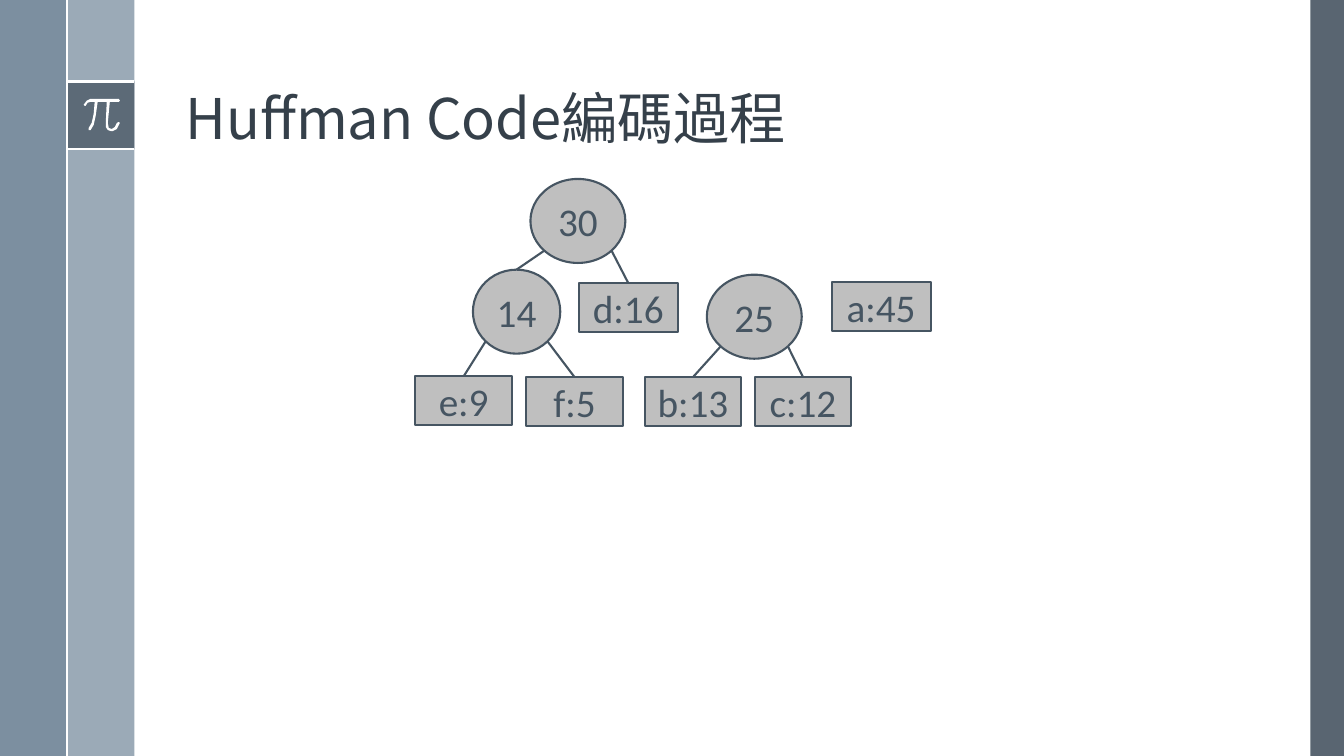
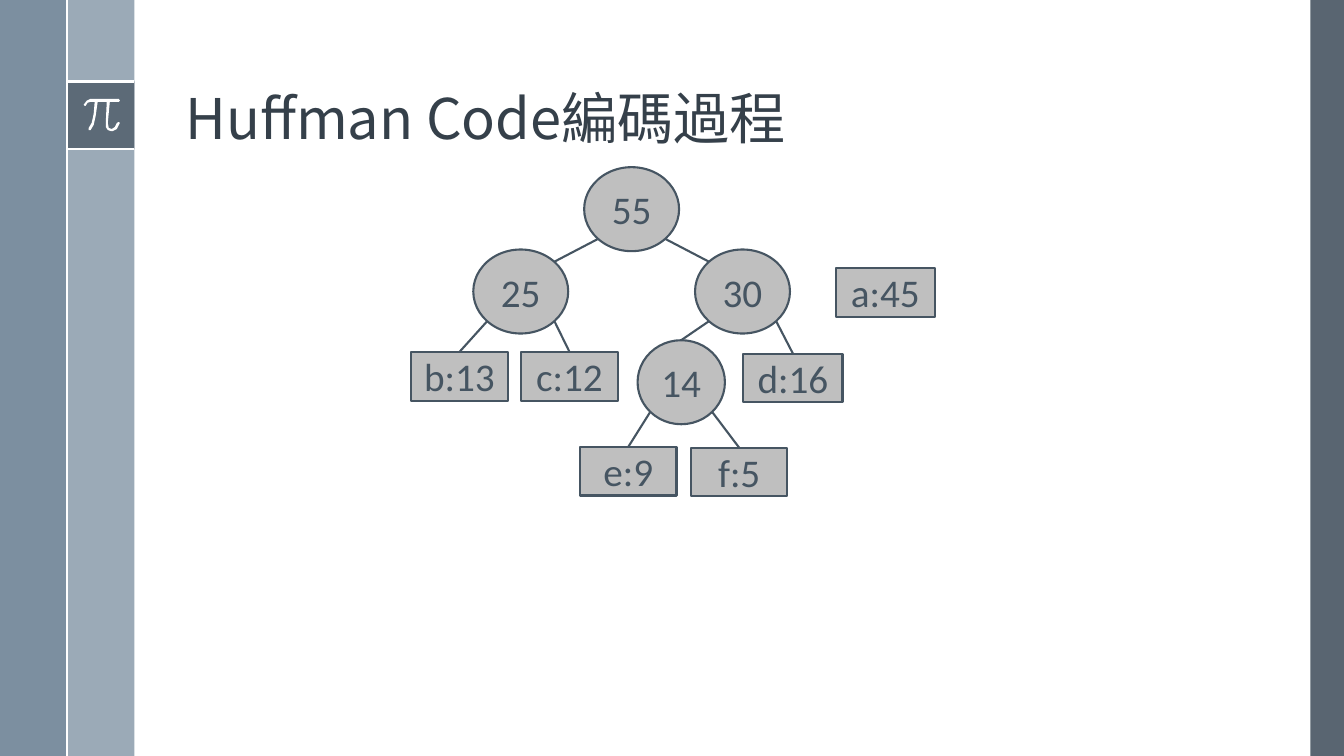
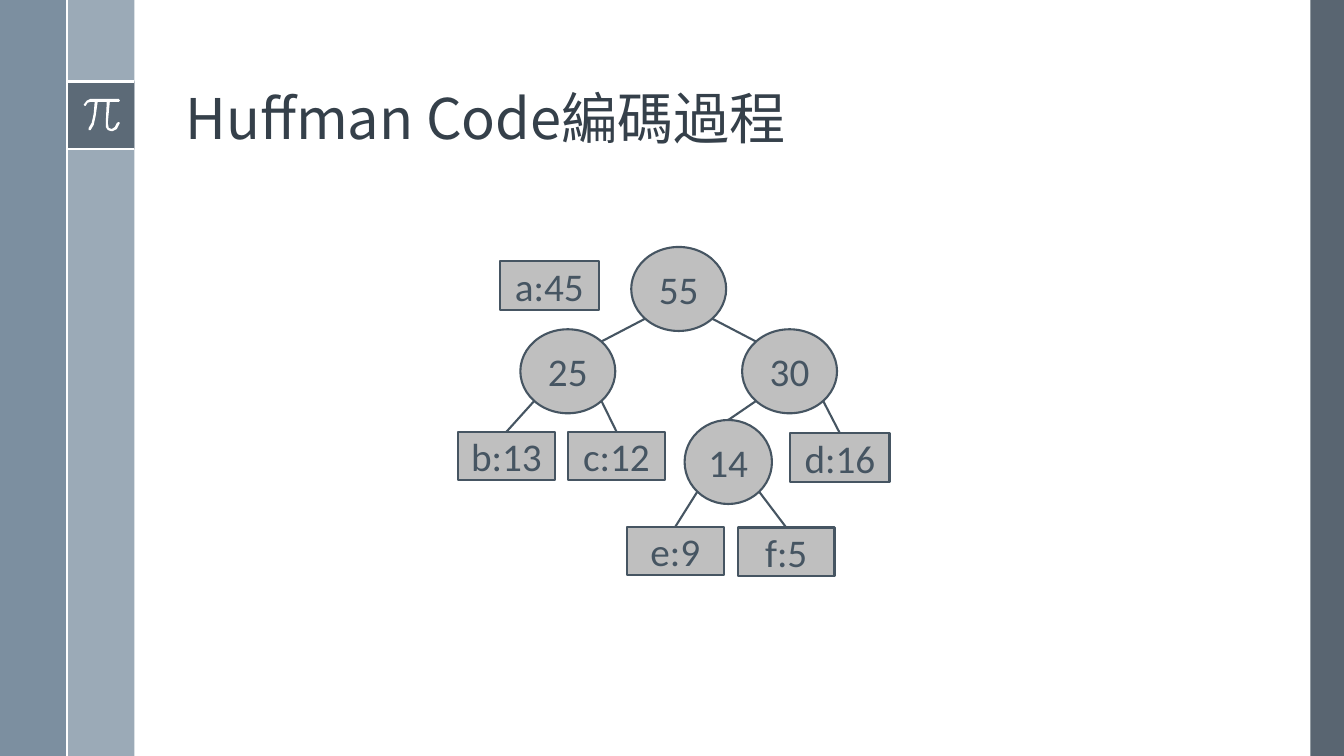
"""Builds three slides that show the merging steps of a Huffman code."""
import lxml.etree
import pptx
import pptx.dml.color
import pptx.enum.shapes
import pptx.enum.text
import pptx.oxml.ns
import pptx.util

RGBColor = pptx.dml.color.RGBColor
SHAPE = pptx.enum.shapes.MSO_SHAPE
ALIGN = pptx.enum.text.PP_ALIGN
ANCHOR = pptx.enum.text.MSO_ANCHOR
qn = pptx.oxml.ns.qn

WHITE = RGBColor(0xFF, 0xFF, 0xFF)
SLATE = RGBColor(0x47, 0x55, 0x62)
STEEL = RGBColor(0x6A, 0x80, 0x93)
MIST = RGBColor(0x9B, 0xAA, 0xB7)
TITLE_INK = RGBColor(0x35, 0x40, 0x4A)
NODE_INK = RGBColor(0x46, 0x55, 0x62)
NODE_FILL = RGBColor(0xBF, 0xBF, 0xBF)

COLUMNS, ROWS = 160, 90
CELL = pptx.util.Inches(7.5) // ROWS
BAND = 8
BADGE_TOP = 9.7
DIAGONAL = 0.71
TITLE = "Huffman Code編碼過程"

PI_OUTLINE = [
    (118, 98), (90, 98), (86, 100), (83, 104), (84, 105), (85, 105),
    (87, 102), (90, 101), (94, 101), (93, 113), (91, 122), (88, 127),
    (88, 129), (90, 129), (93, 124), (95, 115), (97, 101), (106, 101),
    (105, 122), (105, 126), (107, 129), (110, 130), (112, 130), (116, 128),
    (119, 122), (118, 121), (116, 122), (114, 126), (111, 128), (108, 127),
    (107, 122), (109, 101), (118, 101), (119, 100),
]

BRANCHES = {
    "55": [("25", -13.2, 9.8), ("30", 13.2, 9.8)],
    "25": [("b:13", -7.3, 10.1), ("c:12", 5.8, 10.1)],
    "30": [("14", -7.3, 10.8), ("d:16", 6, 10.3)],
    "14": [("e:9", -6.3, 10.6), ("f:5", 6.9, 10.7)],
}
SIZES = {"14": (10.4, 10), "a:45": (11.8, 5.8), "d:16": (11.8, 5.8)}
CIRCLE_SIZE = (11.3, 10)
BOX_SIZE = (11.5, 5.8)

STEPS = [
    [("a:45", 104.9, 36.5), ("25", 89.8, 37.7), ("30", 68.8, 26.3)],
    [("a:45", 105.4, 34.8), ("55", 75.2, 24.9)],
    [("a:45", 65.4, 34), ("55", 80.8, 34.4)],
]


def cells(*lengths):
    """Turn grid lengths into slide units."""
    return [round(length * CELL) for length in lengths]


def node_size(label):
    """Return the width and height of a tree node."""
    return SIZES.get(label, CIRCLE_SIZE if label in BRANCHES else BOX_SIZE)


class Deck:
    """Holds the presentation, its style and the current slide."""

    def __init__(self):
        """Start an empty widescreen presentation."""
        self.presentation = pptx.Presentation()
        self.presentation.slide_width, self.presentation.slide_height = cells(COLUMNS, ROWS)
        self.slide = None

    def add_slide(self):
        """Add a slide with the shared bands, badge and title."""
        self.slide = self.presentation.slides.add_slide(self.presentation.slide_layouts[6])
        self.band(COLUMNS - BAND / 2, 0, BAND / 2, ROWS, SLATE, 90)
        self.band(BAND, 0, BAND, ROWS, MIST)
        self.band(0, 0, BAND, ROWS, STEEL, 88)
        self.band(BAND, BADGE_TOP, BAND, BAND, SLATE, 75)
        for row in (BADGE_TOP, BADGE_TOP + BAND):
            self.line(BAND, row, 2 * BAND, row, WHITE)
        self.pi_sign()
        self.line(BAND, 0, BAND, ROWS, WHITE)
        self.title(TITLE)

    def shape(self, kind, left, top, width, height, fill):
        """Add a flat filled shape without an outline."""
        shape = self.slide.shapes.add_shape(kind, *cells(left, top, width, height))
        self.flatten(shape, fill)
        return shape

    def flatten(self, shape, fill):
        """Give a shape a plain fill, no outline and no shadow."""
        shape.shadow.inherit = False
        shape.fill.solid()
        shape.fill.fore_color.rgb = fill
        shape.line.fill.background()

    def band(self, left, top, width, height, fill, opacity=100):
        """Add a rectangle, see-through when opacity is below 100 percent."""
        shape = self.shape(SHAPE.RECTANGLE, left, top, width, height, fill)
        if opacity < 100:
            color = shape.fill._xPr.find(".//" + qn("a:srgbClr"))
            lxml.etree.SubElement(color, qn("a:alpha"), val=str(opacity * 1000))

    def line(self, start_x, start_y, end_x, end_y, color):
        """Add a straight line."""
        connector = self.slide.shapes.add_connector(
            pptx.enum.shapes.MSO_CONNECTOR.STRAIGHT, *cells(start_x, start_y, end_x, end_y))
        connector.line.color.rgb = color
        connector.line.width = pptx.util.Pt(1.5)
        lxml.etree.SubElement(connector._element.spPr, qn("a:effectLst"))

    def pi_sign(self):
        """Add the pi sign on the badge, outlined in hundredths of an inch."""
        builder = self.slide.shapes.build_freeform(*PI_OUTLINE[0], scale=pptx.util.Inches(0.01))
        builder.add_line_segments(PI_OUTLINE[1:], close=True)
        self.flatten(builder.convert_to_shape(), WHITE)

    def title(self, text):
        """Add the slide title."""
        box = self.slide.shapes.add_textbox(*cells(20.9, 2.3, 128.4, 16.3))
        frame = box.text_frame
        frame.word_wrap = True
        frame.vertical_anchor = ANCHOR.BOTTOM
        frame.text = text
        paragraph = frame.paragraphs[0]
        paragraph.line_spacing = 0.9
        self.style(paragraph, "Noto Sans CJK TC", 40, TITLE_INK)

    def style(self, paragraph, font_name, size, color):
        """Format every run of a paragraph."""
        for run in paragraph.runs:
            run.font.name = font_name
            run.font.size = pptx.util.Pt(size)
            run.font.color.rgb = color
            lxml.etree.SubElement(run.font._element, qn("a:ea"), typeface=font_name)

    def node(self, label, x, y):
        """Add a tree node centred on a grid point."""
        width, height = node_size(label)
        kind = SHAPE.OVAL if label in BRANCHES else SHAPE.RECTANGLE
        shape = self.shape(kind, x - width / 2, y - height / 2, width, height, NODE_FILL)
        shape.line.color.rgb = NODE_INK
        shape.line.width = pptx.util.Pt(1.5)
        frame = shape.text_frame
        frame.margin_left = frame.margin_right = 0
        frame.word_wrap = False
        frame.vertical_anchor = ANCHOR.MIDDLE
        frame.text = label
        frame.paragraphs[0].alignment = ALIGN.CENTER
        self.style(frame.paragraphs[0], "Calibri", 28, NODE_INK)

    def tree(self, label, x, y):
        """Add a node and, below it, its branches."""
        self.node(label, x, y)
        for child, shift_x, shift_y in BRANCHES.get(label, []):
            self.tree(child, x + shift_x, y + shift_y)
            self.branch(label, x, y, child, x + shift_x, y + shift_y)

    def branch(self, parent, x, y, child, child_x, child_y):
        """Join a parent's lower flank to its child's top, or flank if far aside."""
        side = 1 if child_x > x else -1
        width, height = (DIAGONAL * length / 2 for length in node_size(parent))
        child_width, child_height = (length / 2 for length in node_size(child))
        if abs(child_x - x) > child_y - y:
            end_x = child_x - side * DIAGONAL * child_width
            end_y = child_y - DIAGONAL * child_height
        else:
            end_x, end_y = child_x, child_y - child_height
        self.line(x + side * width, y + height, end_x, end_y, NODE_INK)


def main():
    """Build and save the slides."""
    deck = Deck()
    for step in STEPS:
        deck.add_slide()
        for label, x, y in step:
            deck.tree(label, x, y)
    deck.presentation.save("out.pptx")


if __name__ == "__main__":
    main()
